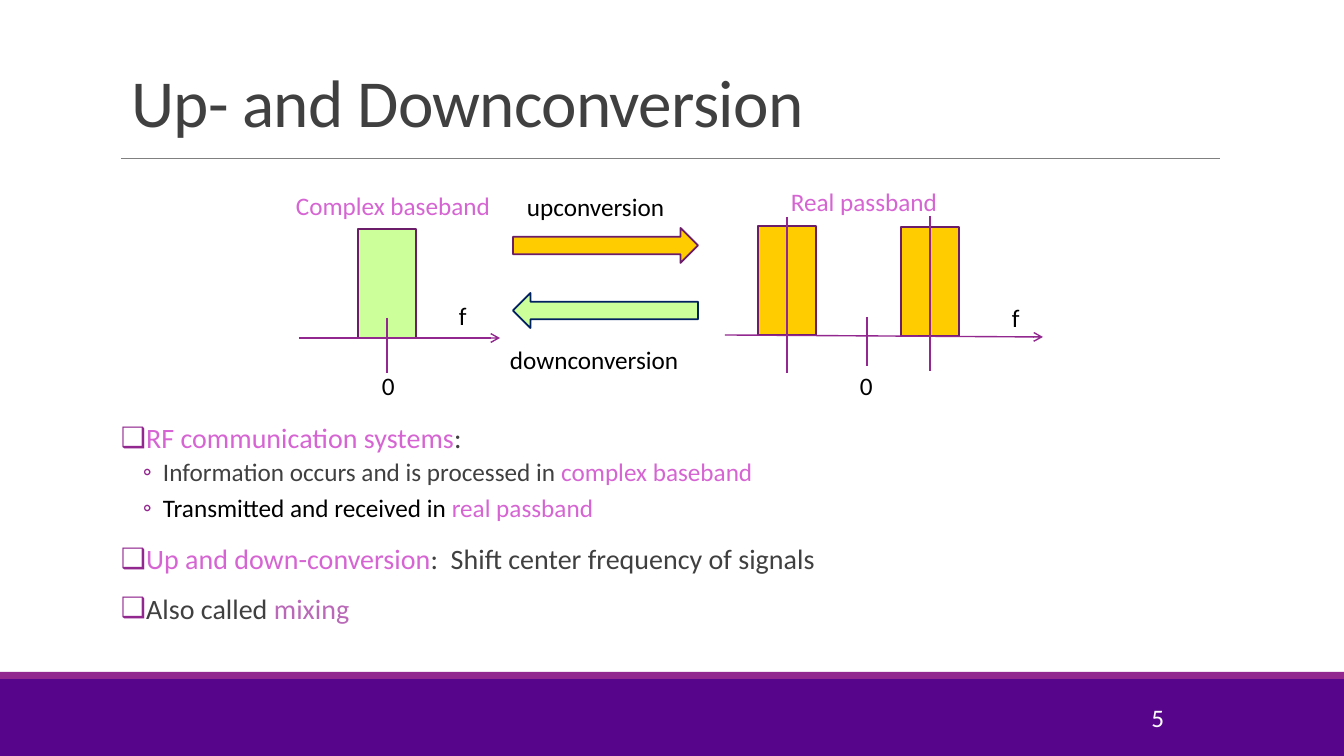
import pptx
import pptx.util
import pptx.dml.color
import pptx.enum.shapes
import pptx.enum.text
import pptx.oxml
import lxml.etree

SCALE = 914400 / 100.8
SHAPES = pptx.enum.shapes.MSO_SHAPE
ANCHOR = pptx.enum.text.MSO_ANCHOR
ALIGN = pptx.enum.text.PP_ALIGN
DRAWING = "http://schemas.openxmlformats.org/drawingml/2006/main"
PURPLE, PLUM, PINK, GRAY = "92278F", "6C1D6A", "D665D3", "404040"
GREEN, GOLD, BLACK, WHITE = "CCFF99", "FFCC00", "000000", "FFFFFF"


def color(value):
    return pptx.dml.color.RGBColor.from_string(value)


def write(para, text, size, shade):
    span = para.add_run()
    span.text = text
    for name, value in {"name": "Calibri", "size": pptx.util.Pt(size)}.items():
        setattr(span.font, name, value)
    span.font.color.rgb = color(shade)
    return span


deck = pptx.Presentation()
deck.slide_width, deck.slide_height = round(1344 * SCALE), round(756 * SCALE)
page = deck.slides.add_slide(deck.slide_layouts[1])
title, body = page.placeholders

for holder, place in [(title, (121, 31, 1109, 115)), (body, (121, 419, 931, 243))]:
    for name, value in zip(("left", "top", "width", "height"), place):
        setattr(holder, name, round(value * SCALE))
    holder.text_frame.auto_size = pptx.enum.text.MSO_AUTO_SIZE.NONE

title.text_frame.vertical_anchor = ANCHOR.BOTTOM
heading = title.text_frame.paragraphs[0]
heading.alignment = ALIGN.LEFT
heading.line_spacing = 0.85
span = write(heading, "Up- and Downconversion", 48, GRAY)
span.font._element.set("spc", "-50")

frame = body.text_frame
for name, value in {"margin_left": 0, "margin_right": 0, "vertical_anchor": ANCHOR.TOP}.items():
    setattr(frame, name, value)

levels = [
    {"mark": "❑", "size": 20, "margin": 10, "hang": 10, "before": 12, "after": 2},
    {"mark": "◦", "size": 18, "margin": 42, "hang": 20, "before": 2, "after": 4},
]
points = [
    (0, [("RF communication systems", PINK), (":", GRAY)]),
    (1, [("Information occurs and is processed in ", GRAY), ("complex baseband", PINK)]),
    (1, [("Transmitted and received in ", BLACK), ("real passband", PINK)]),
    (0, [("Up and down-conversion", PINK), (":  Shift center frequency of signals", GRAY)]),
    (0, [("Also called ", GRAY), ("mixing", "BA69B8")]),
]
for index, (level, pieces) in enumerate(points):
    style = levels[level]
    para = frame.add_paragraph() if index else frame.paragraphs[0]
    para.level = level
    properties = para._p.get_or_add_pPr()
    properties.set("marL", str(round(style["margin"] * SCALE)))
    properties.set("indent", str(-round(style["hang"] * SCALE)))
    for markup in (
        f'<a:buClr xmlns:a="{DRAWING}"><a:srgbClr val="{PURPLE}"/></a:buClr>',
        f'<a:buFont xmlns:a="{DRAWING}" typeface="Calibri"/>',
        f'<a:buChar xmlns:a="{DRAWING}" char="{style["mark"]}"/>',
    ):
        properties.append(pptx.oxml.parse_xml(markup))
    spacing = {
        "line_spacing": 0.9,
        "space_before": pptx.util.Pt(style["before"] if index else 0),
        "space_after": pptx.util.Pt(style["after"]),
    }
    for name, value in spacing.items():
        setattr(para, name, value)
    for text, shade in pieces:
        write(para, text, style["size"], shade)

footer = page.shapes
conversion, baseband, passband = [page.shapes.add_group_shape().shapes for _ in range(3)]

blocks = [
    (footer, SHAPES.RECTANGLE, (0, 679, 1344, 77), 0, "57068C", None),
    (footer, SHAPES.RECTANGLE, (0, 672, 1344, 7), 0, PURPLE, None),
    (conversion, SHAPES.RIGHT_ARROW, (513, 228, 185, 35), 0, GOLD, PLUM),
    (conversion, SHAPES.RIGHT_ARROW, (513, 293, 185, 35), 180, GREEN, "002060"),
    (baseband, SHAPES.RECTANGLE, (358, 229, 58, 109), 0, GREEN, PLUM),
    (passband, SHAPES.RECTANGLE, (901, 227, 58, 109), 0, GOLD, PLUM),
    (passband, SHAPES.RECTANGLE, (758, 226, 58, 109), 0, GOLD, PLUM),
]
for owner, kind, place, turn, fill, edge in blocks:
    block = owner.add_shape(kind, *[round(value * SCALE) for value in place])
    block.shadow.inherit = False
    block.rotation = turn
    block.fill.solid()
    block.fill.fore_color.rgb = color(fill)
    if edge:
        block.line.color.rgb = color(edge)
        block.line.width = pptx.util.Pt(1.25)
    else:
        block.line.fill.background()

lines = [
    (footer, (121, 158, 1220, 158), "808080", 0.5, False),
    (baseband, (299, 338, 500, 338), PURPLE, 1, True),
    (baseband, (387, 318, 387, 373), PURPLE, 1, False),
    (passband, (725, 335, 1043, 337), PURPLE, 1, True),
    (passband, (930, 216, 930, 371), PURPLE, 1, False),
    (passband, (787, 217, 787, 373), PURPLE, 1, False),
    (passband, (867, 317, 867, 366), PURPLE, 1, False),
]
for owner, ends, shade, width, arrow in lines:
    line = owner.add_connector(
        pptx.enum.shapes.MSO_CONNECTOR.STRAIGHT, *[round(value * SCALE) for value in ends]
    )
    line.line.color.rgb = color(shade)
    line.line.width = pptx.util.Pt(width)
    if arrow:
        tail = lxml.etree.SubElement(line.line._get_or_add_ln(), f"{{{DRAWING}}}tailEnd")
        tail.set("type", "arrow")
    lxml.etree.SubElement(line._element.spPr, f"{{{DRAWING}}}effectLst")

labels = [
    (conversion, "upconversion", (517, 186, 159), BLACK),
    (conversion, "downconversion", (500, 339, 191), BLACK),
    (baseband, "0", (372, 365, 34), BLACK),
    (baseband, "f", (449, 295, 28), BLACK),
    (baseband, "Complex baseband", (286, 185, 217), PINK),
    (passband, "f", (1002, 297, 28), BLACK),
    (passband, "0", (850, 365, 34), BLACK),
    (passband, "Real passband", (781, 181, 168), PINK),
    (footer, "5", (1030, 697, 144), WHITE),
]
for owner, text, place, shade in labels:
    box = owner.add_textbox(*[round(value * SCALE) for value in (*place, 40)])
    box.text_frame.word_wrap = owner is footer
    para = box.text_frame.paragraphs[0]
    write(para, text, 18, shade)
    if owner is footer:
        para.alignment = ALIGN.RIGHT
        box.text_frame.vertical_anchor = ANCHOR.MIDDLE

deck.save("out.pptx")
